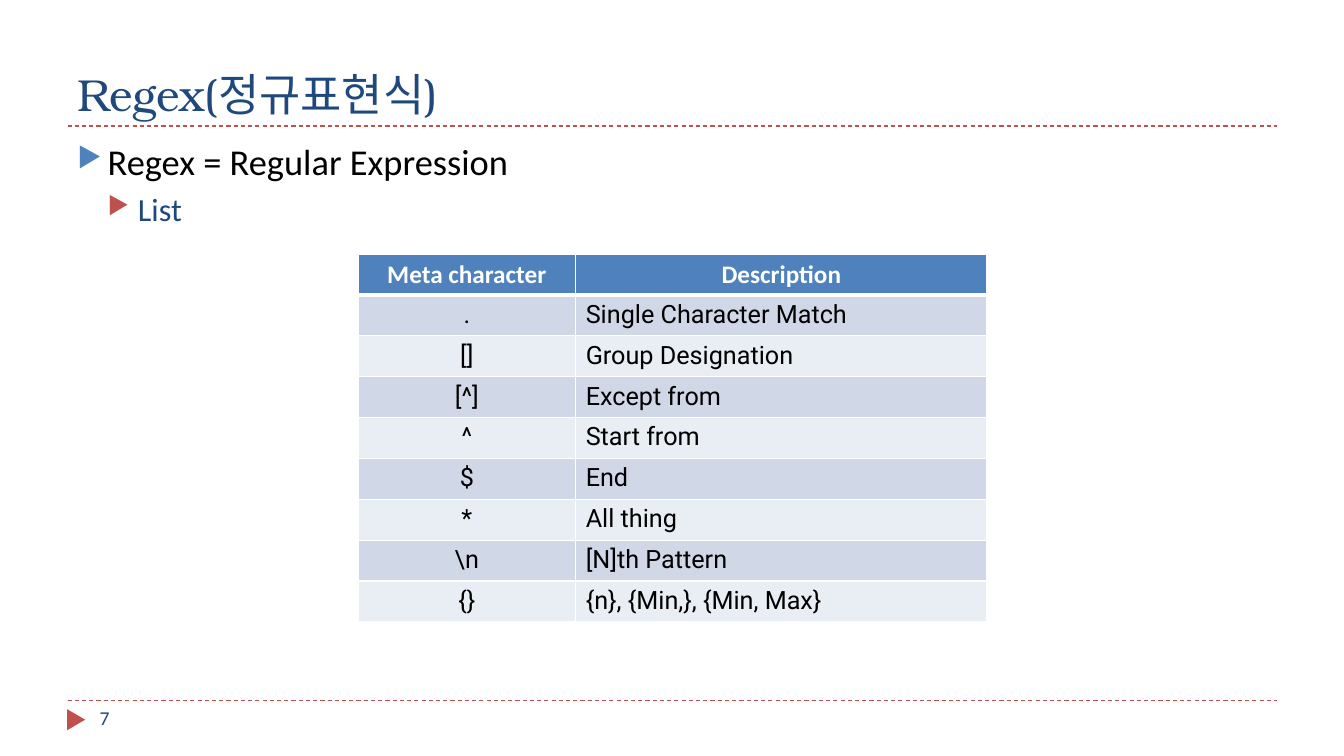
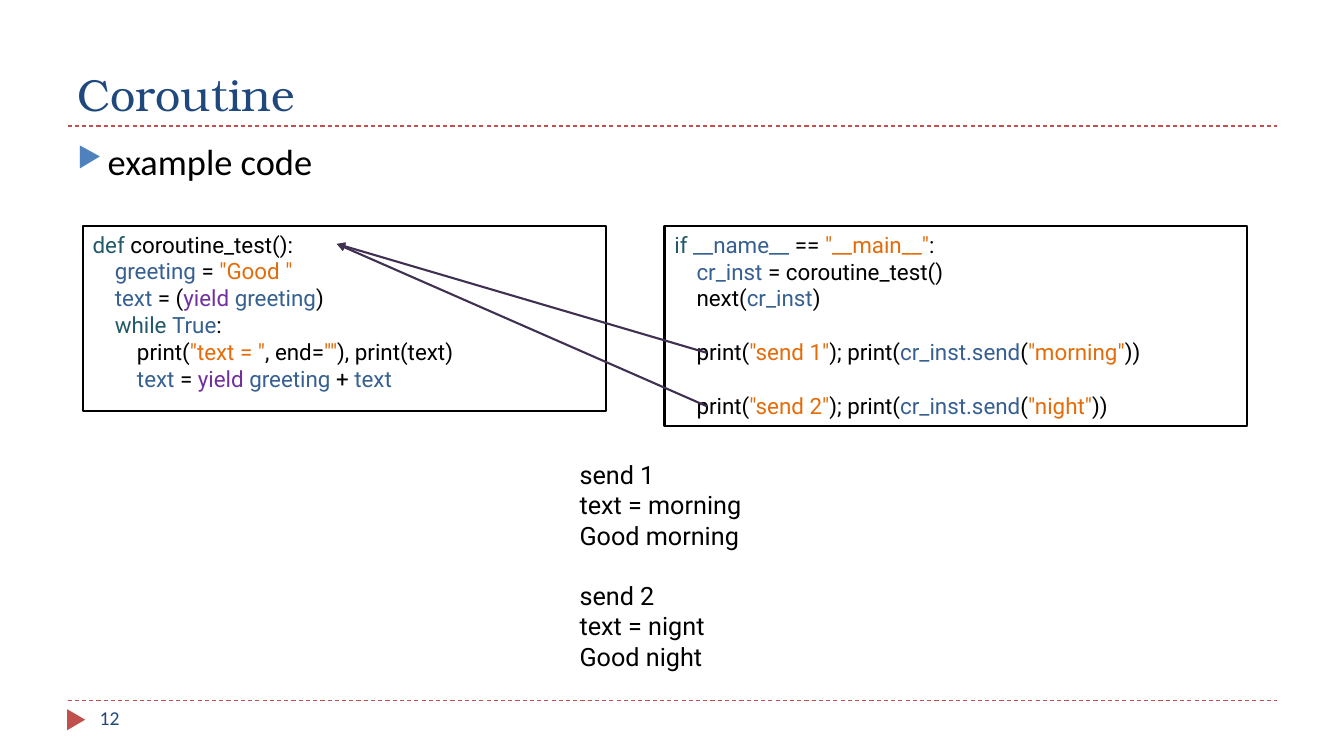
from dataclasses import dataclass
from lxml import etree
from pptx import Presentation, util as u
from pptx.dml.color import RGBColor
from pptx.enum import dml, shapes, text
from pptx.oxml import ns

SLIDES = [
    {"title": "Regex(정규표현식)", "number": "7",
     "bullets": [("Regex = Regular Expression", 0), ("List", 1)]},
    {"title": "Coroutine", "number": "12", "bullets": [("example code", 0)]},
]
META_ROWS = [
    ("Meta character", "Description"),
    (".", "Single Character Match"),
    ("[]", "Group Designation"),
    ("[^]", "Except from"),
    ("^", "Start from"),
    ("$", "End"),
    ("*", "All thing"),
    ("\\n", "[N]th Pattern"),
    ("{}", "{n}, {Min,}, {Min, Max}"),
]
COROUTINE_CODE = [
    (0, 0, [("def ", "keyword"), ("coroutine_test():", "ink")]),
    (1, 0, [("greeting", "name"), (" = ", "ink"), ('"Good "', "string")]),
    (1, 0, [("text", "name"), (" = (", "ink"), ("yield ", "yielding"),
            ("greeting", "name"), (")", "ink")]),
    (1, 0, [("while ", "keyword"), ("True", "name"), (":", "ink")]),
    (2, 0, [("print(", "ink"), ('"text = "', "string"), (", end=", "ink"),
            ('""', "string"), ("), print(text)", "ink")]),
    (2, 0, [("text", "name"), (" = ", "ink"), ("yield ", "yielding"),
            ("greeting", "name"), (" + ", "ink"), ("text", "name")]),
]


def send_line(label, word):
    return (1, 1, [("print(", "ink"), (f'"{label}"', "string"), ("); print(", "ink"),
                   ("cr_inst.send", "name"), ("(", "ink"), (f'"{word}"', "string"),
                   ("))", "ink")])


MAIN_CODE = [
    (0, 0, [("if ", "keyword"), ("__name__", "name"), (" == ", "ink"),
            ('"__main__"', "string"), (":", "ink")]),
    (1, 0, [("cr_inst", "name"), (" = coroutine_test()", "ink")]),
    (1, 0, [("next(", "ink"), ("cr_inst", "name"), (")", "ink")]),
    send_line("send 1", "morning"),
    send_line("send 2", "night"),
]
OUTPUT = [("send 1", 0), ("text = morning", 0), ("Good morning", 0),
          ("send 2", 1), ("text = nignt", 0), ("Good night", 0)]


@dataclass(frozen=True)
class Theme:
    ink: str = "000000"
    white: str = "FFFFFF"
    navy: str = "1F497D"
    blue: str = "4F81BD"
    red: str = "C0504D"
    arrow: str = "403152"
    keyword: str = "215968"
    name: str = "376092"
    string: str = "E46C0A"
    yielding: str = "7030A0"
    bands: tuple = ("D0D8E8", "E9EDF4")
    heading_font: str = "TeX Gyre Bonum"
    body_font: str = "Calibri"
    code_font: str = "Roboto"
    title_size: int = 32
    bullet_sizes: tuple = (26, 23)
    table_size: int = 18
    code_size: int = 16
    number_size: int = 14


THEME = Theme()
WIDTH, HEIGHT = 13.33, 7.5
MARGIN, CONTENT = 0.67, 12
TITLE_TOP, TITLE_RULE, FOOT_RULE = 0.17, 1.25, 6.95
INDENT, CODE_TAB = 0.3, 0.22
CODE_TOP, CODE_LEFT, MAIN_LEFT = 2.24, 0.82, 6.59


def color(value):
    return RGBColor.from_string(value)


def add_xml(parent, tag, **attributes):
    return etree.SubElement(parent, ns.qn(tag), attributes)


def write(frame, spans, first=False, font=THEME.body_font, size=18, ink=THEME.ink,
          bold=False, align=text.PP_ALIGN.LEFT, before=0, left=0, hanging=0, bullet=None):
    para = frame.paragraphs[0] if first else frame.add_paragraph()
    para.alignment = align
    para.space_before = u.Pt(before)
    properties = para._p.get_or_add_pPr()
    properties.set("marL", str(u.Inches(left)))
    properties.set("indent", str(u.Inches(-hanging)))
    if bullet:
        add_xml(add_xml(properties, "a:buClr"), "a:srgbClr", val=bullet)
        add_xml(properties, "a:buSzPct", val="76000")
        add_xml(properties, "a:buChar", char="▶")
    for words, shade in [(spans, ink)] if isinstance(spans, str) else spans:
        span = para.add_run()
        span.text = words
        span.font.name, span.font.size, span.font.bold = font, u.Pt(size), bold
        span.font.color.rgb = color(shade)


def add_box(page, left, top, width, height):
    box = page.shapes.add_textbox(*map(u.Inches, (left, top, width, height)))
    box.text_frame.word_wrap = True
    return box.text_frame


def add_line(page, start, end, ink, weight, dashed=False, arrow=False):
    line = page.shapes.add_connector(shapes.MSO_CONNECTOR.STRAIGHT,
                                     *map(u.Inches, (*start, *end)))
    line.line.color.rgb = color(ink)
    line.line.width = u.Pt(weight)
    if dashed:
        line.line.dash_style = dml.MSO_LINE.DASH
    if arrow:
        add_xml(line.line._get_or_add_ln(), "a:tailEnd", type="triangle")
    add_xml(line._element.spPr, "a:effectLst")


def add_shape(page, kind, left, top, width, height, fill=None, outline=None):
    shape = page.shapes.add_shape(kind, *map(u.Inches, (left, top, width, height)))
    shape.shadow.inherit = False
    if fill:
        shape.fill.solid()
        shape.fill.fore_color.rgb = color(fill)
    else:
        shape.fill.background()
    if outline:
        shape.line.color.rgb = color(outline)
        shape.line.width = u.Pt(1.5)
    else:
        shape.line.fill.background()
    return shape


def add_page(deck, title, number, bullets):
    page = deck.slides.add_slide(deck.slide_layouts[5])
    for height in (FOOT_RULE, TITLE_RULE):
        add_line(page, (MARGIN, height), (MARGIN + CONTENT, height), THEME.red, 0.75, dashed=True)
    marker = add_shape(page, shapes.MSO_SHAPE.ISOSCELES_TRIANGLE,
                       0.65, FOOT_RULE + 0.1, 0.21, 0.18, fill=THEME.red)
    marker.rotation = 90
    heading = page.shapes.title
    heading.left, heading.top, heading.width, heading.height = map(
        u.Inches, (MARGIN, TITLE_TOP, CONTENT, TITLE_RULE - TITLE_TOP))
    heading.text_frame.auto_size = text.MSO_AUTO_SIZE.NONE
    heading.text_frame.vertical_anchor = text.MSO_ANCHOR.BOTTOM
    write(heading.text_frame, title, first=True, font=THEME.heading_font,
          size=THEME.title_size, ink=THEME.navy)
    body = add_box(page, MARGIN, 1.33, CONTENT, 5.4)
    for index, (words, level) in enumerate(bullets):
        write(body, words, first=index == 0, size=THEME.bullet_sizes[level],
              ink=(THEME.ink, THEME.navy)[level], before=6 - level,
              left=INDENT * (level + 1), hanging=INDENT,
              bullet=(THEME.blue, THEME.red)[level])
    write(add_box(page, 0.89, FOOT_RULE, 2.89, 0.4), number, first=True,
          size=THEME.number_size, ink=THEME.navy)
    return page


def style_cell(cell, fill, bottom, top):
    properties = cell._tc.get_or_add_tcPr()
    for side, weight in (("L", 1), ("R", 1), ("T", top), ("B", bottom)):
        edge = add_xml(properties, f"a:ln{side}", w=str(u.Pt(weight)))
        add_xml(add_xml(edge, "a:solidFill"), "a:srgbClr", val=THEME.white)
    cell.fill.solid()
    cell.fill.fore_color.rgb = color(fill)


def add_meta_table(page):
    widths, row_height = (2.16, 4.08), 3.65 / len(META_ROWS)
    table = page.shapes.add_table(len(META_ROWS), len(widths), *map(
        u.Inches, (3.55, 2.52, sum(widths), 3.65))).table
    for column, width in zip(table.columns, widths):
        column.width = u.Inches(width)
    for index, values in enumerate(META_ROWS):
        table.rows[index].height = u.Inches(row_height)
        header = index == 0
        for place, words in enumerate(values):
            cell = table.cell(index, place)
            style_cell(cell, THEME.blue if header else THEME.bands[(index - 1) % 2],
                       bottom=3 if header else 1, top=3 if index == 1 else 1)
            centred = header or place == 0
            write(cell.text_frame, words, first=True, size=THEME.table_size, bold=header,
                  font=THEME.body_font if header else THEME.code_font,
                  ink=THEME.white if header else THEME.ink,
                  align=text.PP_ALIGN.CENTER if centred else text.PP_ALIGN.LEFT)


def add_code(page, lines, left, width, height):
    frame = add_box(page, left, CODE_TOP, width, height)
    for index, (depth, gap, spans) in enumerate(lines):
        write(frame, [(words, getattr(THEME, role)) for words, role in spans],
              first=index == 0, font=THEME.code_font, size=THEME.code_size,
              left=depth * CODE_TAB, before=gap * 19.2)
    add_shape(page, shapes.MSO_SHAPE.RECTANGLE, left, CODE_TOP, width, height, outline=THEME.ink)


def add_output(page):
    frame = add_box(page, 5.65, 4.51, 2.04, 2.22)
    for index, (words, gap) in enumerate(OUTPUT):
        write(frame, words, first=index == 0, font=THEME.code_font,
              size=THEME.table_size, before=gap * 21.6)


deck = Presentation()
deck.slide_width, deck.slide_height = u.Inches(WIDTH), u.Inches(HEIGHT)
regex_page, coroutine_page = [add_page(deck, **content) for content in SLIDES]
add_meta_table(regex_page)
add_code(coroutine_page, COROUTINE_CODE, CODE_LEFT, 5.19, 1.84)
add_code(coroutine_page, MAIN_CODE, MAIN_LEFT, 5.78, 1.99)
for call_height in (3.5, 4.03):
    add_line(coroutine_page, (7.01, call_height), (3.34, 2.42), THEME.arrow, 1.5, arrow=True)
add_output(coroutine_page)
deck.save("out.pptx")
